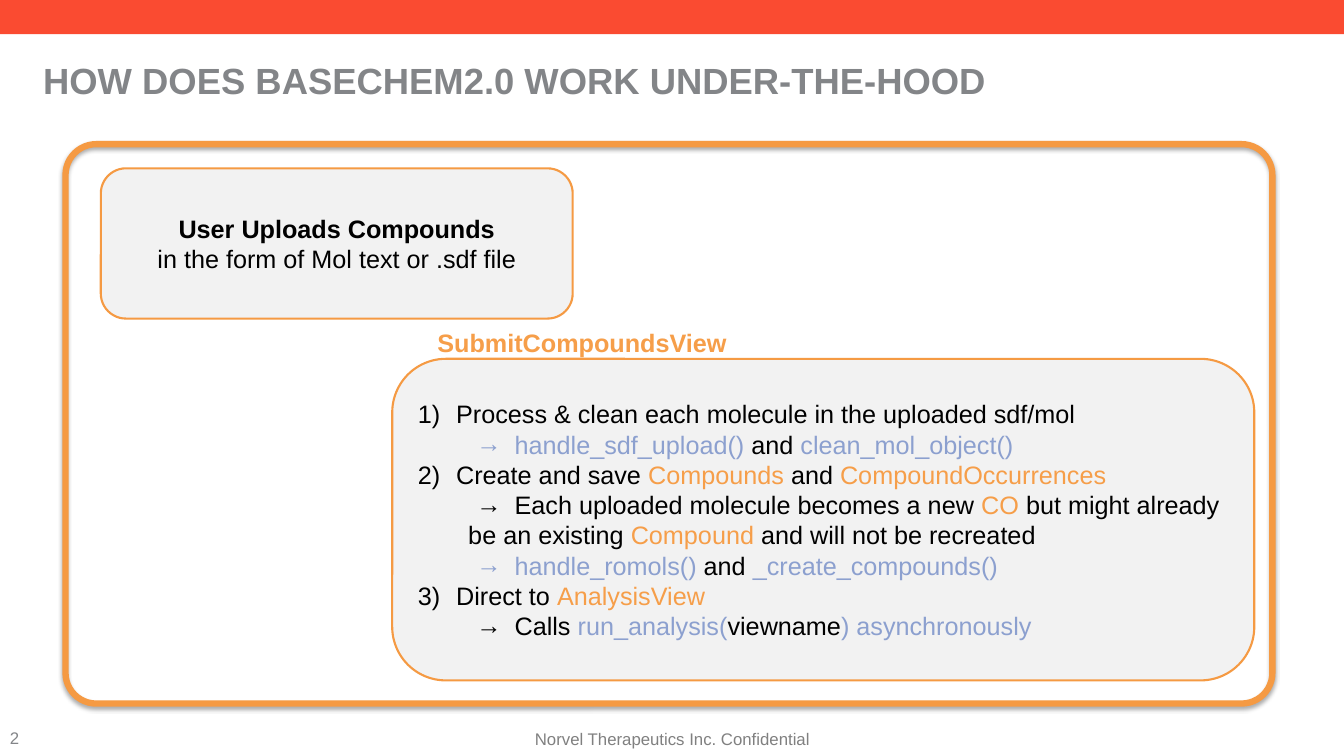
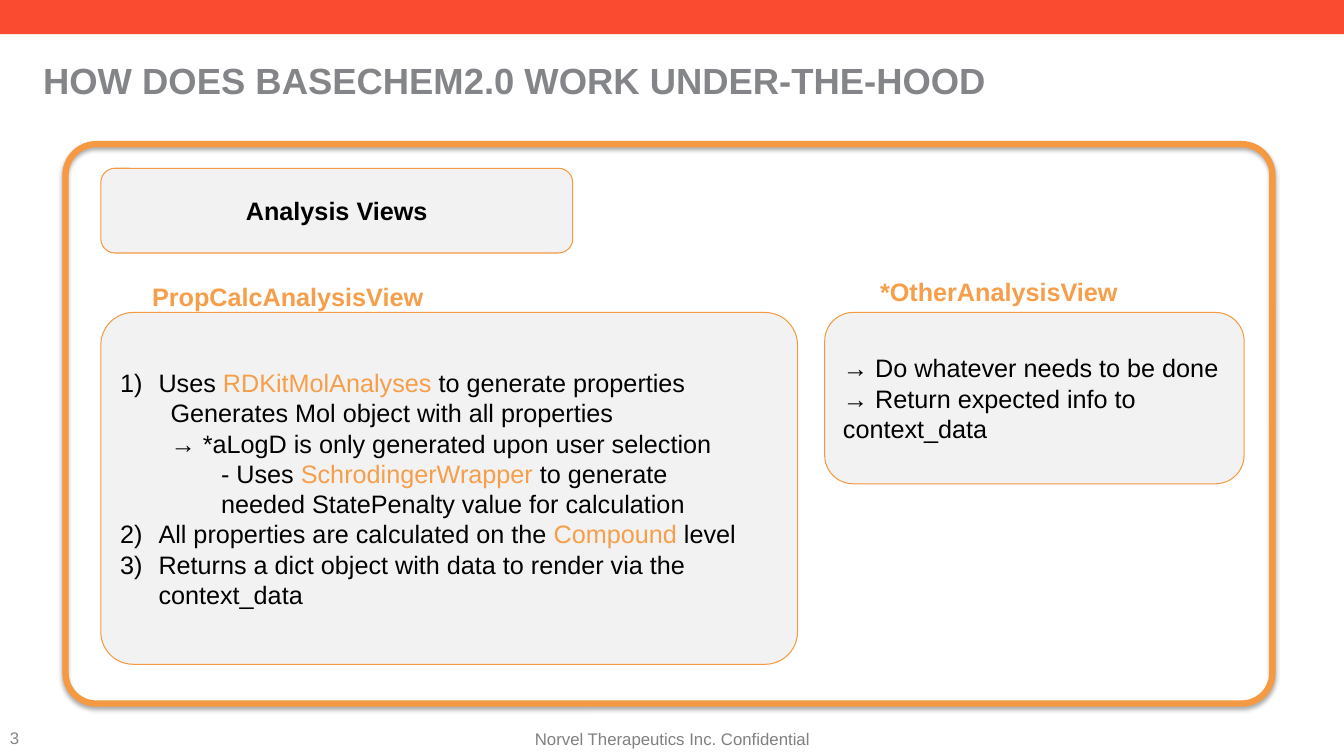
"""Build two slides that explain how BaseChem2.0 works under the hood."""
from lxml.etree import SubElement
from pptx import Presentation
from pptx.dml.color import RGBColor
from pptx.enum.shapes import MSO_SHAPE
from pptx.enum.text import MSO_ANCHOR, PP_ALIGN
from pptx.oxml.ns import qn
from pptx.util import Emu, Pt

PX = 9144
WIDTH, HEIGHT = 1333, 750

RED = RGBColor(0xFA, 0x4B, 0x31)
GREY = RGBColor(0x83, 0x85, 0x88)
FOOTER_GREY = RGBColor(0x80, 0x80, 0x80)
ORANGE = RGBColor(0xF5, 0x9A, 0x43)
CLASS_ORANGE = RGBColor(0xF6, 0x9E, 0x49)
CODE_BLUE = RGBColor(0x8C, 0xA0, 0xCF)
PANEL = RGBColor(0xF2, 0xF2, 0xF2)
BLACK = RGBColor(0, 0, 0)

TITLE = "HOW DOES BASECHEM2.0 WORK UNDER-THE-HOOD"
FOOTER = "Norvel Therapeutics Inc. Confidential"

BODY_FONT = {"name": "Arial", "size": Pt(18), "bold": False}
HEADING_FONT = BODY_FONT | {"bold": True}
TITLE_FONT = HEADING_FONT | {"size": Pt(26)}
FOOTER_FONT = BODY_FONT | {"size": Pt(12)}

LAYOUTS = {
    "plain": {},
    "number": {"marL": 38, "indent": -38},
    "arrow": {"marL": 96, "indent": -38},
    "detail": {"marL": 50, "indent": 0},
    "deep": {"marL": 100, "indent": 0},
}

SUBMIT_STEPS = [
    ("number", 1, ["Process & clean each molecule in the uploaded sdf/mol"]),
    ("arrow", None, [("handle_sdf_upload() ", CODE_BLUE), "and ",
                     ("clean_mol_object()", CODE_BLUE)]),
    ("number", 2, ["Create and save ", ("Compounds", CLASS_ORANGE), " and ",
                   ("CompoundOccurrences", CLASS_ORANGE)]),
    ("arrow", None, ["Each uploaded molecule becomes a new ",
                     ("CO", CLASS_ORANGE), " but might already"]),
    ("detail", None, ["be an existing ", ("Compound", CLASS_ORANGE),
                      " and will not be recreated"]),
    ("arrow", None, [("handle_romols()", CODE_BLUE), " and ",
                     ("_create_compounds()", CODE_BLUE)]),
    ("number", 3, ["Direct to ", ("AnalysisView", CLASS_ORANGE)]),
    ("arrow", None, ["Calls ", ("run_analysis(", CODE_BLUE), "viewname",
                     (") asynchronously", CODE_BLUE)]),
]

PROPERTY_STEPS = [
    ("number", 1, ["Uses ", ("RDKitMolAnalyses", CLASS_ORANGE),
                   " to generate properties"]),
    ("detail", None, ["Generates Mol object with all properties"]),
    ("detail", None, ["→ *aLogD is only generated upon user selection"]),
    ("deep", None, ["- Uses ", ("SchrodingerWrapper", CLASS_ORANGE),
                    " to generate"]),
    ("deep", None, ["needed StatePenalty value for calculation"]),
    ("number", 2, ["All properties are calculated on the ",
                   ("Compound", CLASS_ORANGE), " level"]),
    ("number", 2, ["Returns a dict object with data to render via the context_data"]),
]

OTHER_STEPS = [
    ("plain", None, ["→ Do whatever needs to be done"]),
    ("plain", None, ["→ Return expected info to context_data"]),
]

SLIDES = [
    {
        "number": "2",
        "line": 1.5,
        "heading": ((100, 167, 468, 149), "User Uploads Compounds",
                    "in the form of Mol text or .sdf file"),
        "panels": [((389, 356, 855, 319), None, SUBMIT_STEPS)],
        "labels": [((424, 320), "SubmitCompoundsView")],
    },
    {
        "number": "3",
        "line": 0.75,
        "heading": ((100, 167, 468, 84), "Analysis Views", None),
        "panels": [((100, 310, 691, 349), 0.092, PROPERTY_STEPS),
                   ((818, 310, 416, 170), None, OTHER_STEPS)],
        "labels": [((141, 274), "PropCalcAnalysisView"),
                   ((863, 269), "*OtherAnalysisView")],
    },
]


def scaled(box):
    return [Emu(length * PX) for length in box]


def add_run(paragraph, text, font_values, color):
    run = paragraph.add_run()
    run.text = text
    for name, value in font_values.items():
        setattr(run.font, name, value)
    run.font.color.rgb = color


def add_label(slide, box, text, font_values, color,
              anchor=MSO_ANCHOR.TOP, alignment=PP_ALIGN.LEFT):
    frame = slide.shapes.add_textbox(*scaled(box)).text_frame
    frame.word_wrap = True
    frame.vertical_anchor = anchor
    frame.paragraphs[0].alignment = alignment
    add_run(frame.paragraphs[0], text, font_values, color)


def add_box(slide, box, fill=None, line_width=None, adjustment=None,
            kind=MSO_SHAPE.ROUNDED_RECTANGLE):
    shape = slide.shapes.add_shape(kind, *scaled(box))
    shape.shadow.inherit = False
    if fill is None:
        shape.fill.background()
    else:
        shape.fill.solid()
        shape.fill.fore_color.rgb = fill
    if line_width is None:
        shape.line.fill.background()
    else:
        shape.line.color.rgb = ORANGE
        shape.line.width = Pt(line_width)
    if adjustment is not None:
        shape.adjustments[0] = adjustment
    shape.text_frame.word_wrap = True
    shape.text_frame.vertical_anchor = MSO_ANCHOR.MIDDLE
    return shape


def add_shadow(shape):
    effects = shape.element.spPr.find(qn("a:effectLst"))
    shadow = SubElement(effects, qn("a:outerShdw"), blurRad=str(Pt(3.1)),
                        dist=str(Pt(1.8)), dir="5400000", rotWithShape="0")
    color = SubElement(shadow, qn("a:srgbClr"), val="000000")
    SubElement(color, qn("a:alpha"), val="35000")


def next_paragraph(frame, index):
    return frame.add_paragraph() if index else frame.paragraphs[0]


def fill_steps(frame, steps):
    for index, (layout, number, parts) in enumerate(steps):
        paragraph = next_paragraph(frame, index)
        paragraph.alignment = PP_ALIGN.LEFT
        properties = paragraph._p.get_or_add_pPr()
        for name, length in LAYOUTS[layout].items():
            properties.set(name, str(length * PX))
        if layout == "number":
            SubElement(properties, qn("a:buFont"), typeface="+mj-lt")
            SubElement(properties, qn("a:buAutoNum"), type="arabicParenR",
                       startAt=str(number))
        elif layout == "arrow":
            SubElement(properties, qn("a:buFont"), typeface="Arial")
            SubElement(properties, qn("a:buChar"), char="→")
        for part in parts:
            text, color = (part, BLACK) if isinstance(part, str) else part
            add_run(paragraph, text, BODY_FONT, color)


def add_base(slide, number):
    add_box(slide, (0, 0, WIDTH, 34), RED, kind=MSO_SHAPE.RECTANGLE)
    add_label(slide, (33, 50, 1263, 58), TITLE, TITLE_FONT, GREY, MSO_ANCHOR.MIDDLE)
    add_label(slide, (456, 717, 422, 32), FOOTER, FOOTER_FONT, FOOTER_GREY,
              MSO_ANCHOR.MIDDLE, PP_ALIGN.CENTER)
    add_label(slide, (0, 717, 100, 33), number, FOOTER_FONT, GREY)
    add_shadow(add_box(slide, (65, 143, 1197, 555), line_width=4.5, adjustment=0.055))


def add_heading(slide, box, heading, subheading, line_width):
    frame = add_box(slide, box, PANEL, line_width).text_frame
    lines = [(heading, HEADING_FONT), (subheading, BODY_FONT)]
    for index, (text, font_values) in enumerate(lines):
        if text:
            paragraph = next_paragraph(frame, index)
            paragraph.alignment = PP_ALIGN.CENTER
            add_run(paragraph, text, font_values, BLACK)


def main():
    presentation = Presentation()
    presentation.slide_width, presentation.slide_height = scaled((WIDTH, HEIGHT))
    for content in SLIDES:
        slide = presentation.slides.add_slide(presentation.slide_layouts[6])
        add_base(slide, content["number"])
        add_heading(slide, *content["heading"], content["line"])
        for box, adjustment, steps in content["panels"]:
            panel = add_box(slide, box, PANEL, content["line"], adjustment)
            fill_steps(panel.text_frame, steps)
        for position, text in content["labels"]:
            add_label(slide, (*position, 330, 40), text, HEADING_FONT, CLASS_ORANGE)
    presentation.save("out.pptx")


if __name__ == "__main__":
    main()
